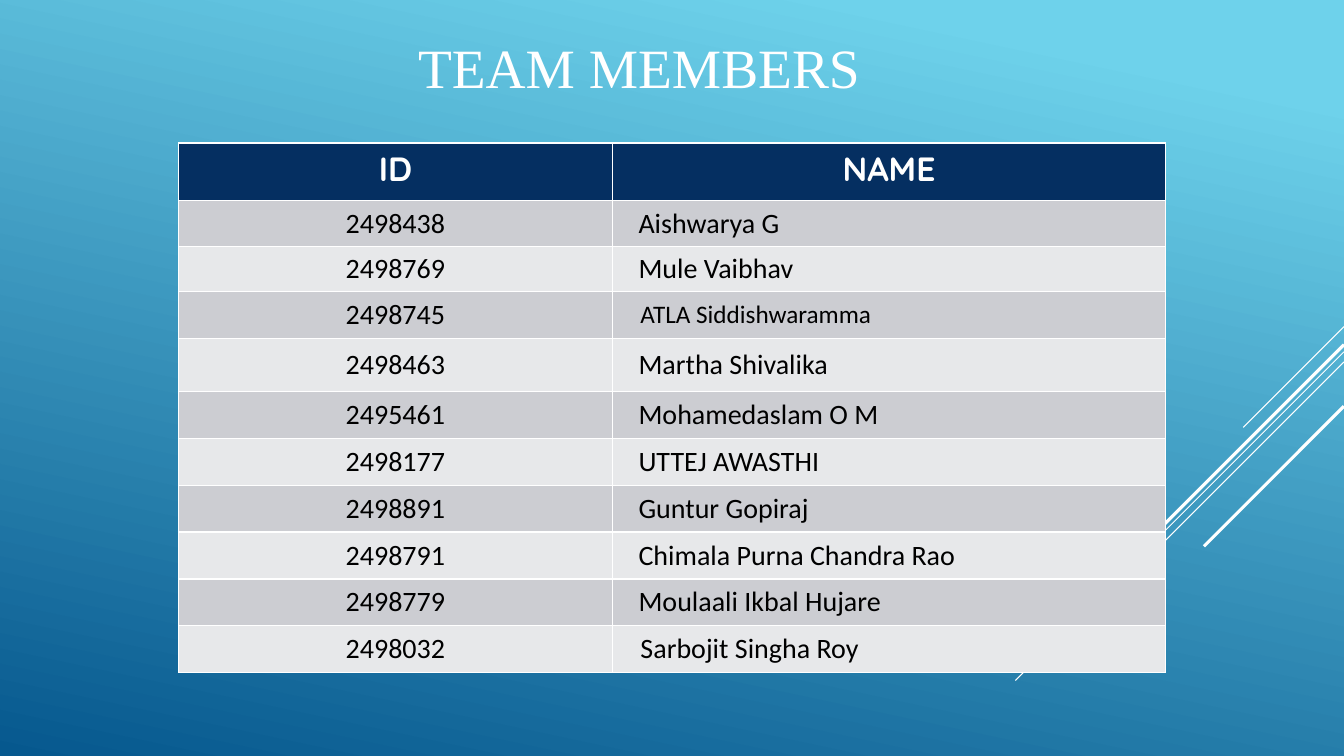
from dataclasses import dataclass

from lxml.etree import SubElement
from pptx import Presentation
from pptx.dml.color import RGBColor
from pptx.enum.shapes import MSO_CONNECTOR
from pptx.enum.text import MSO_ANCHOR, MSO_AUTO_SIZE, PP_ALIGN
from pptx.oxml.ns import qn
from pptx.util import Pt

SLIDE_W, SLIDE_H = 960, 540
COLORS = {
    "sky": "6ED2EB",
    "deep": "06588E",
    "header": "052F61",
    "band_dark": "CCCDD2",
    "band_light": "E7E8EA",
    "white": "FFFFFF",
    "black": "000000",
}
COL_WIDTHS = (310, 395)
HEADER_HEIGHT = 41


@dataclass
class Ray:
    """A 45-degree line running down and left from the right slide edge."""
    top: float
    run: float
    weight: float


@dataclass
class Member:
    id: str
    name: str
    height: float = 33.5
    size: float = 20
    indent: float = 18.6


RAYS = [
    Ray(233.3, 72, 0.75),
    Ray(251.3, 234.7, 0.75),
    Ray(258.5, 149.3, 0.75),
    Ray(246.2, 137.5, 2.25),
    Ray(290.2, 100, 2.25),
]
MEMBERS = [
    Member("2498438", "Aishwarya G", height=33),
    Member("2498769", "Mule Vaibhav", height=32),
    Member("2498745", "ATLA Siddishwaramma", size=18, indent=20),
    Member("2498463", "Martha Shivalika", height=38),
    Member("2495461", "Mohamedaslam O M"),
    Member("2498177", "UTTEJ AWASTHI"),
    Member("2498891", "Guntur Gopiraj"),
    Member("2498791", "Chimala Purna Chandra Rao"),
    Member("2498779", "Moulaali Ikbal Hujare"),
    Member("2498032", "Sarbojit Singha Roy", indent=20),
]


def rgb(name: str) -> RGBColor:
    return RGBColor.from_string(COLORS[name])


def write(tf, text: str, *, size: float, font: str = "Calibri", color: str = "black",
          bold: bool = False, align=PP_ALIGN.CENTER) -> None:
    p = tf.paragraphs[0]
    p.alignment = align
    r = p.add_run()
    r.text = text
    r.font.size = Pt(size)
    r.font.name = font
    r.font.bold = bold
    r.font.color.rgb = rgb(color)


def fill_cell(cell, color: str) -> None:
    cell.fill.solid()
    cell.fill.fore_color.rgb = rgb(color)


def draw_background(slide) -> None:
    fill = slide.background.fill
    fill.gradient()
    fill.gradient_angle = 258
    for stop, position, color in zip(fill.gradient_stops, (0.1, 1), ("sky", "deep")):
        stop.position = position
        stop.color.rgb = rgb(color)


def draw_ray(slide, ray: Ray) -> None:
    line = slide.shapes.add_connector(
        MSO_CONNECTOR.STRAIGHT, Pt(SLIDE_W), Pt(ray.top),
        Pt(SLIDE_W - ray.run), Pt(ray.top + ray.run))
    line.line.color.rgb = rgb("white")
    line.line.width = Pt(ray.weight)
    SubElement(line._element.spPr, qn("a:effectLst"))


def draw_title(slide) -> None:
    title = slide.shapes.title
    title.left, title.top, title.width, title.height = Pt(203.8), Pt(25.2), Pt(505.4), Pt(44.6)
    tf = title.text_frame
    tf.auto_size = MSO_AUTO_SIZE.NONE
    tf.vertical_anchor = MSO_ANCHOR.MIDDLE
    write(tf, "TEAM MEMBERS", size=39.6, font="Times New Roman", color="white")


def draw_members(slide) -> None:
    heights = [HEADER_HEIGHT] + [m.height for m in MEMBERS]
    table = slide.shapes.add_table(
        len(heights), len(COL_WIDTHS), Pt(127.5), Pt(102.2),
        Pt(sum(COL_WIDTHS)), Pt(sum(heights))).table
    for column, width in zip(table.columns, COL_WIDTHS):
        column.width = Pt(width)
    for row, height in zip(table.rows, heights):
        row.height = Pt(height)

    for cell, heading in zip(table.rows[0].cells, ("ID", "NAME")):
        fill_cell(cell, "header")
        write(cell.text_frame, heading, size=24, font="Quicksand", color="white", bold=True)

    for i, member in enumerate(MEMBERS):
        id_cell, name_cell = table.rows[i + 1].cells
        for cell in (id_cell, name_cell):
            fill_cell(cell, "band_light" if i % 2 else "band_dark")
            cell.vertical_anchor = MSO_ANCHOR.MIDDLE
            cell.margin_left = cell.margin_right = Pt(5)
            cell.margin_top = cell.margin_bottom = 0
        name_cell.margin_left = Pt(member.indent)
        write(id_cell.text_frame, member.id, size=20)
        write(name_cell.text_frame, member.name, size=member.size, align=PP_ALIGN.LEFT)


def main() -> None:
    prs = Presentation()
    prs.slide_width, prs.slide_height = Pt(SLIDE_W), Pt(SLIDE_H)
    slide = prs.slides.add_slide(prs.slide_layouts.get_by_name("Title Only"))
    draw_background(slide)
    for ray in RAYS:
        draw_ray(slide, ray)
    draw_title(slide)
    draw_members(slide)
    prs.save("out.pptx")


if __name__ == "__main__":
    main()
